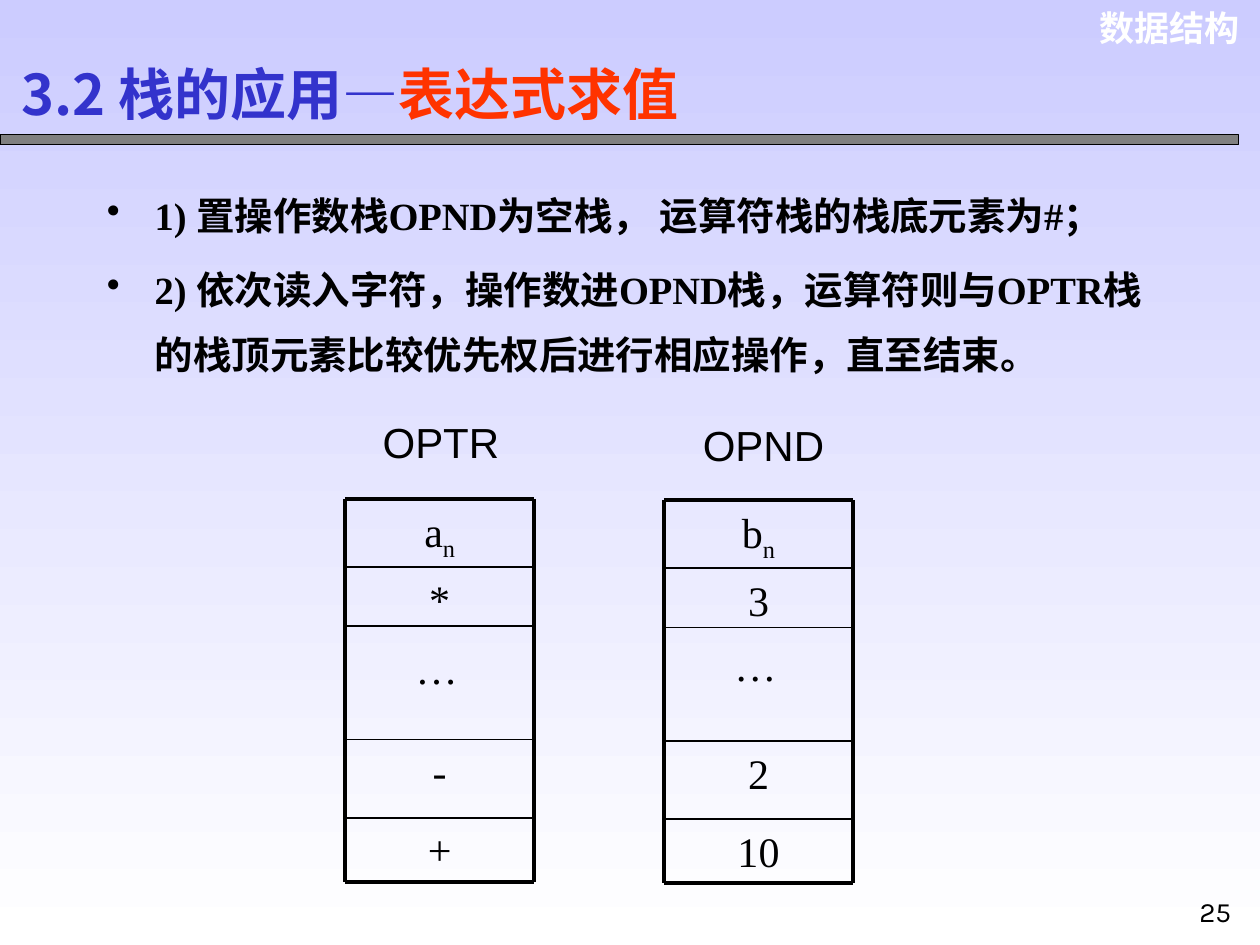
from lxml.etree import SubElement
from pptx import Presentation
from pptx.dml.color import RGBColor
from pptx.enum.shapes import MSO_CONNECTOR as LINE, MSO_SHAPE as SHAPE
from pptx.enum.text import MSO_AUTO_SIZE as FIT, PP_ALIGN as ALIGN
from pptx.oxml.ns import qn
from pptx.util import Inches, Pt

BLACK = RGBColor(0x00, 0x00, 0x00)
WHITE = RGBColor(0xFF, 0xFF, 0xFF)
GRAY = RGBColor(0x80, 0x80, 0x80)
LAVENDER = RGBColor(0xCC, 0xCC, 0xFF)
BLUE = RGBColor(0x33, 0x33, 0xCC)
RED = RGBColor(0xFF, 0x33, 0x00)

SERIF, SANS, HAN, NUMERAL = "Times New Roman", "Arial", "Noto Sans CJK SC", "Karla"
STACK_WIDTH = 1.5
LEVELS = [0, 0.54, 1.01, 1.91, 2.53, 3.04]


class SlideWriter:
    """Draws styled elements on the current slide."""

    def __init__(self, page):
        self.page = page

    def background(self, top, bottom):
        fill = self.page.background.fill
        fill.gradient()
        fill.gradient_angle = 270
        for stop, color, position in zip(fill.gradient_stops, (top, bottom), (0, 1)):
            stop.color.rgb = color
            stop.position = position

    def style(self, font, size, name, color, bold):
        font.size, font.name, font.bold = Pt(size), name, bold
        font.color.rgb = color

    def han(self, properties):
        SubElement(properties, qn("a:ea"), typeface=HAN)

    def text(self, left, top, width, height, parts, size=24, name=SERIF, color=BLACK,
             bold=False, align=ALIGN.LEFT, grow=True, wrap=True, shapes=None):
        shapes = shapes or self.page.shapes
        box = shapes.add_textbox(Inches(left), Inches(top), Inches(width), Inches(height))
        frame = box.text_frame
        frame.word_wrap = wrap
        frame.auto_size = FIT.SHAPE_TO_FIT_TEXT if grow else FIT.NONE
        para = frame.paragraphs[0]
        para.alignment = align
        for part in parts:
            para.add_run().text = part
        self.style(para.font, size, name, color, bold)
        return para

    def title(self, left, top, width, height, parts):
        texts = [part for part, _, _ in parts]
        para = self.text(left, top, width, height, texts, 32, HAN, BLUE, True)
        for span, (_, name, color) in zip(para.runs, parts):
            self.style(span.font, 32, name, color, True)
            if name == HAN:
                self.han(span.font._rPr)

    def bullets(self, left, top, width, height, items):
        box = self.page.shapes.add_textbox(Inches(left), Inches(top), Inches(width), Inches(height))
        frame = box.text_frame
        frame.word_wrap = True
        for index, item in enumerate(items):
            para = frame.add_paragraph() if index else frame.paragraphs[0]
            para.text = item
            para.line_spacing = 1.4
            para.space_before = Pt(5.5 if index else 0)
            properties = para._p.get_or_add_pPr()
            properties.set("marL", str(Inches(0.38)))
            properties.set("indent", str(-Inches(0.38)))
            SubElement(properties, qn("a:buChar"), char="•")
            self.style(para.font, 22, SERIF, BLACK, True)
            self.han(para.font._rPr)

    def bar(self, left, top, width, height):
        bar = self.page.shapes.add_shape(
            SHAPE.RECTANGLE, Inches(left), Inches(top), Inches(width), Inches(height))
        bar.shadow.inherit = False
        bar.fill.solid()
        bar.fill.fore_color.rgb = GRAY
        bar.line.color.rgb = BLACK
        bar.line.width = Pt(0.75)

    def line(self, shapes, start, end, width):
        points = [Inches(value) for value in (*start, *end)]
        line = shapes.add_connector(LINE.STRAIGHT, *points)
        line.line.color.rgb = BLACK
        line.line.width = Pt(width)
        SubElement(line._element.spPr, qn("a:effectLst"))

    def stack(self, left, top, cells):
        shapes = self.page.shapes.add_group_shape().shapes
        right, bottom = left + STACK_WIDTH, top + LEVELS[-1]
        for upper, lower, parts in zip(LEVELS, LEVELS[1:], cells):
            if parts:
                para = self.text(left, top + upper, STACK_WIDTH, lower - upper, parts,
                                 align=ALIGN.CENTER, grow=False, shapes=shapes)
                for subscript in para.runs[1:]:
                    subscript.font._element.set("baseline", "-25000")
        for level in LEVELS:
            thickness = 2.25 if level in (LEVELS[0], LEVELS[-1]) else 1
            self.line(shapes, (left, top + level), (right, top + level), thickness)
        for side in (left, right):
            self.line(shapes, (side, top), (side, bottom), 2.25)


def main():
    deck = Presentation()
    deck.slide_width, deck.slide_height = Inches(10), Inches(7.5)
    writer = SlideWriter(deck.slides.add_slide(deck.slide_layouts[6]))
    writer.background(LAVENDER, WHITE)
    course = writer.text(8.57, 0, 1.37, 0.44, ["数据结构"], 20, SANS, WHITE, True, ALIGN.RIGHT)
    writer.han(course.font._rPr)
    writer.bar(0, 1.07, 9.83, 0.08)
    writer.bullets(0.75, 1.33, 8.5, 5.33, [
        "1) 置操作数栈OPND为空栈， 运算符栈的栈底元素为#；",
        "2) 依次读入字符，操作数进OPND栈，运算符则与OPTR栈的栈顶元素比较优先权后进行相应操作，直至结束。",
    ])
    writer.title(0.07, 0.42, 6.89, 0.64, [
        ("3.2 栈的应用", HAN, BLUE), ("—", SANS, BLUE), ("表达式求值", HAN, RED)])
    writer.stack(2.74, 3.96, [["a", "n"], ["*"], None, ["-"], ["+"]])
    writer.text(3.2, 5.05, 0.95, 0.5, ["…"])
    writer.stack(5.27, 3.97, [["b", "n"], ["3"], None, ["2"], ["10"]])
    writer.text(5.73, 5.03, 0.95, 0.5, ["…"])
    for name, left, top in (("OPND", 5.46, 3.28), ("OPTR", 2.9, 3.26)):
        writer.text(left, top, 1.2, 0.5, [name], name=SANS, align=ALIGN.CENTER, wrap=False)
    writer.text(9.42, 7.05, 0.5, 0.42, ["25"], 16, NUMERAL)
    deck.save("out.pptx")


if __name__ == "__main__":
    main()
